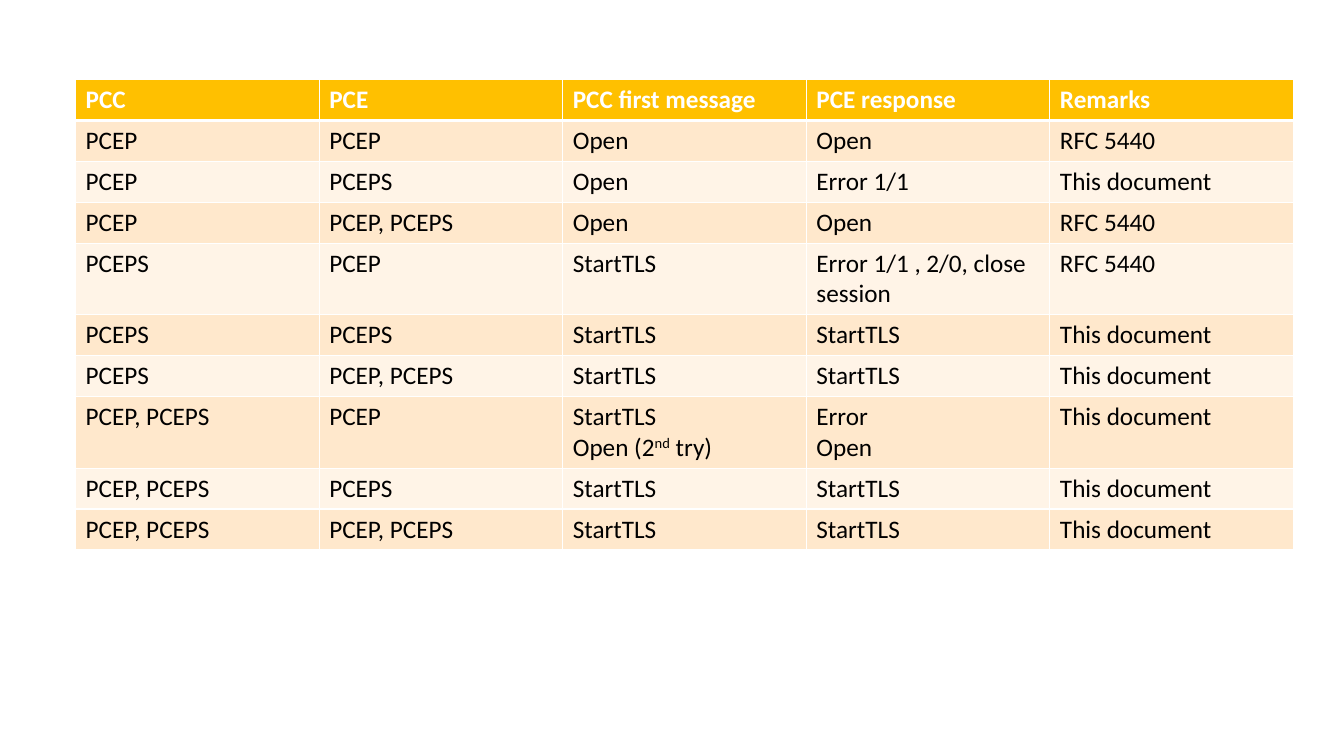
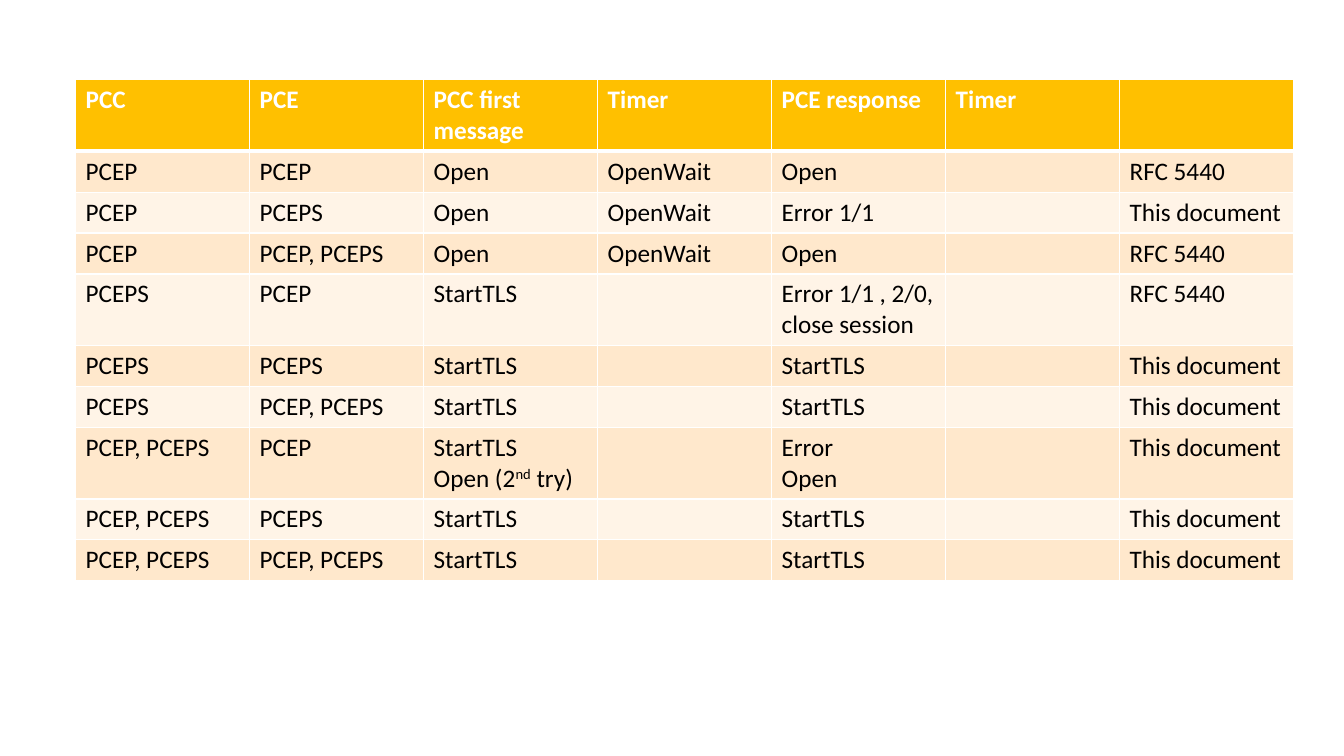
from dataclasses import dataclass

from lxml import etree
from pptx import Presentation
from pptx.dml.color import RGBColor
from pptx.oxml.ns import qn
from pptx.util import Inches, Pt


@dataclass(frozen=True)
class Theme:
    font: str = "Calibri"
    size: int = 18
    header_fill: str = "FFC000"
    band_fills: tuple = ("FFE8CC", "FFF4E7")
    header_text: str = "FFFFFF"
    body_text: str = "000000"
    rule: str = "FFFFFF"
    thin: int = 1
    thick: int = 3


THEME = Theme()
TABLE_BOX = (0.75, 0.79, 12.08)
ROW_HEIGHT = 0.4

# "\n" starts a paragraph; text between "^" marks is superscript.
HEADER = ("PCC", "PCE", "PCC first message", "PCE response", "Remarks")
BOTH = "PCEP, PCEPS"
HANDSHAKES = (
    ("PCEP", "PCEP", "Open", "Open", "RFC 5440"),
    ("PCEP", "PCEPS", "Open", "Error 1/1", "This document"),
    ("PCEP", BOTH, "Open", "Open", "RFC 5440"),
    ("PCEPS", "PCEP", "StartTLS", "Error 1/1 , 2/0, close session", "RFC 5440"),
    ("PCEPS", "PCEPS", "StartTLS", "StartTLS", "This document"),
    ("PCEPS", BOTH, "StartTLS", "StartTLS", "This document"),
    (BOTH, "PCEP", "StartTLS\nOpen (2^nd^ try)", "Error\nOpen", "This document"),
    (BOTH, "PCEPS", "StartTLS", "StartTLS", "This document"),
    (BOTH, BOTH, "StartTLS", "StartTLS", "This document"),
)


def with_timers(row):
    """Add the PCC and PCE timer columns to a handshake row."""
    pcc, pce, message, response, remark = row
    timer = "OpenWait" if message == "Open" else ""
    return pcc, pce, message, timer, response, "", remark


def set_borders(cell, top, bottom):
    properties = cell._tc.get_or_add_tcPr()
    widths = {"lnL": THEME.thin, "lnR": THEME.thin, "lnT": top, "lnB": bottom}
    for side, width in widths.items():
        line = etree.SubElement(properties, qn(f"a:{side}"), w=str(Pt(width)))
        fill = etree.SubElement(line, qn("a:solidFill"))
        etree.SubElement(fill, qn("a:srgbClr"), val=THEME.rule)


def write_text(cell, text, color, bold):
    frame = cell.text_frame
    for number, line in enumerate(text.split("\n")):
        paragraph = frame.add_paragraph() if number else frame.paragraphs[0]
        font = paragraph.font
        font.name, font.size, font.bold = THEME.font, Pt(THEME.size), bold
        font.color.rgb = RGBColor.from_string(color)
        for position, part in enumerate(line.split("^")):
            if part:
                run = paragraph.add_run()
                run.text = part
                if position % 2:
                    run._r.get_or_add_rPr().set("baseline", "30000")


def style_cell(cell, text, row_index):
    is_header = row_index == 0
    set_borders(cell,
                top=THEME.thick if row_index == 1 else THEME.thin,
                bottom=THEME.thick if is_header else THEME.thin)
    band = THEME.band_fills[(row_index - 1) % 2]
    cell.fill.solid()
    cell.fill.fore_color.rgb = RGBColor.from_string(
        THEME.header_fill if is_header else band)
    write_text(cell, text, THEME.header_text if is_header else THEME.body_text,
               is_header)


def add_handshake_table(slide, box, rows):
    """Fill the box width with equal columns; rows grow to fit their text."""
    left, top, width = box
    frame = slide.shapes.add_table(
        len(rows), len(rows[0]), Inches(left), Inches(top),
        Inches(width), Inches(ROW_HEIGHT * len(rows)))
    table = frame.table
    table.horz_banding = False
    for row_index, row in enumerate(rows):
        for column_index, text in enumerate(row):
            style_cell(table.cell(row_index, column_index), text, row_index)


def add_table_slide(presentation, rows):
    slide = presentation.slides.add_slide(presentation.slide_layouts[6])
    add_handshake_table(slide, TABLE_BOX, rows)


def main():
    presentation = Presentation()
    presentation.slide_width = Inches(13.33)
    presentation.slide_height = Inches(7.5)
    add_table_slide(presentation, [HEADER, *HANDSHAKES])
    timer_header = (*HEADER[:3], "Timer", HEADER[3], "Timer", "")
    add_table_slide(presentation, [timer_header, *map(with_timers, HANDSHAKES)])
    presentation.save("out.pptx")


if __name__ == "__main__":
    main()
